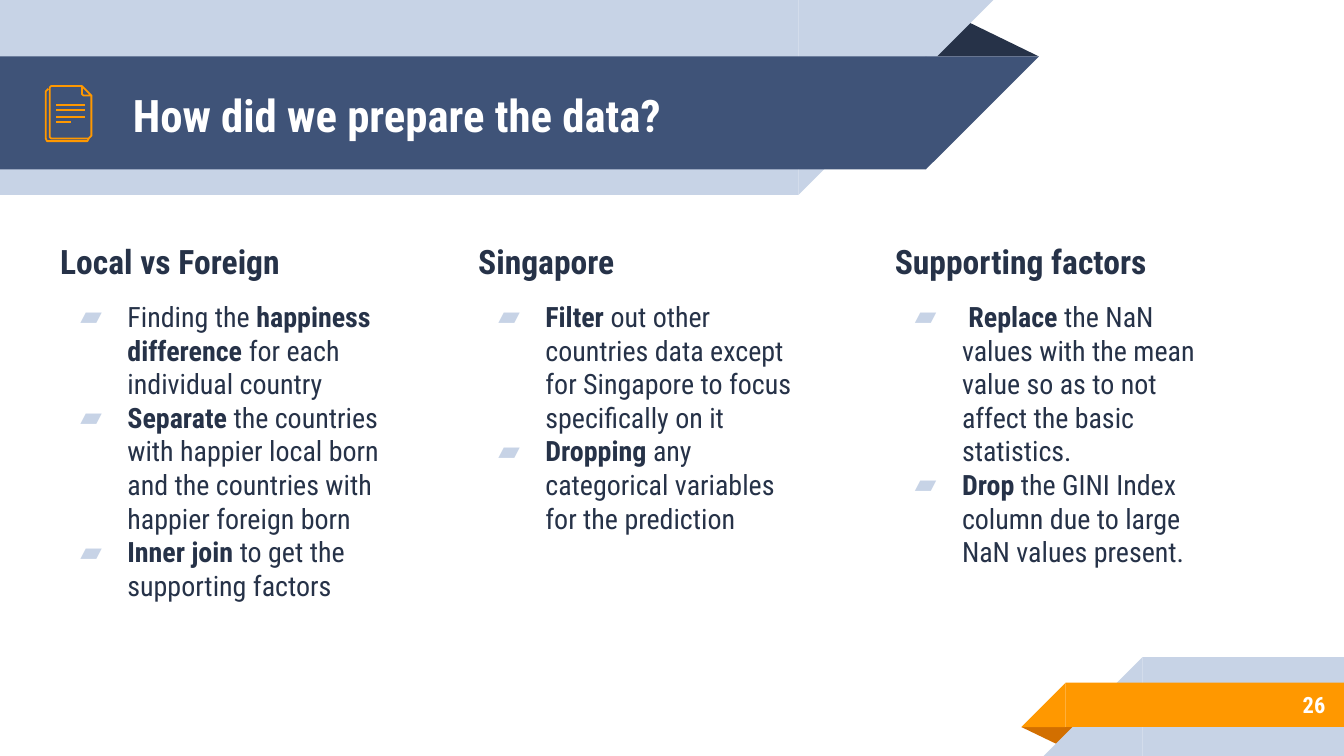
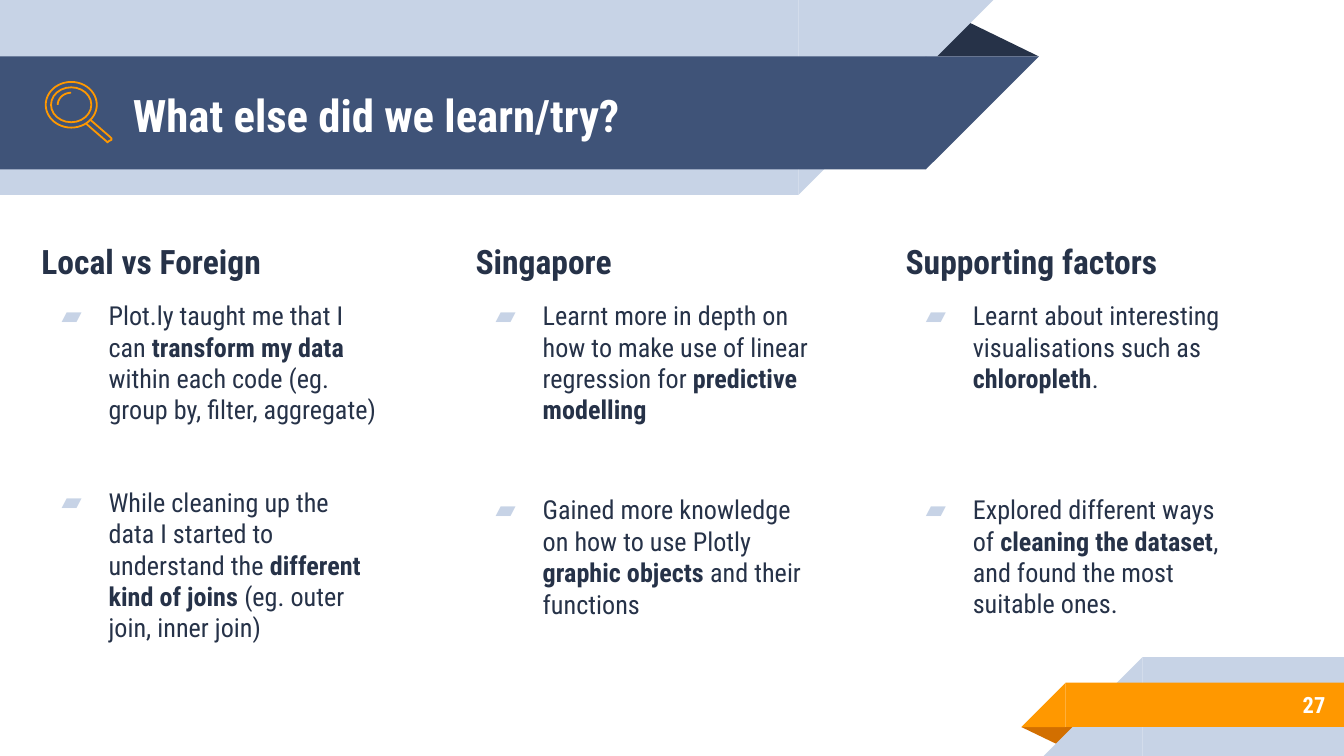
import math
from dataclasses import dataclass

from lxml import etree
from pptx import Presentation
from pptx import util as u
from pptx.dml.color import RGBColor
from pptx.enum import shapes, text
from pptx.oxml import ns

NAVY = RGBColor(0x26, 0x32, 0x48)
BLUE = RGBColor(0x3F, 0x53, 0x78)
PALE = RGBColor(0xC7, 0xD3, 0xE6)
ORANGE = RGBColor(0xFF, 0x98, 0x00)
RUST = RGBColor(0xD2, 0x6F, 0x00)
WHITE = RGBColor(0xFF, 0xFF, 0xFF)
FONT = "Roboto Condensed"
ICON_LINE = u.Pt(0.96)
SLIDE_WIDTH = 10
SLIDE_HEIGHT = SLIDE_WIDTH * 9 / 16
PRESET = shapes.MSO_SHAPE


@dataclass
class Column:
    """Heading and bullets; each bullet is (space before, text), with *bold* words."""
    left: float
    heading: str
    bullets: list
    height: float = 2.96


def add_filled(slide, preset, box, color, rotation=0, flip=False):
    shape = slide.shapes.add_shape(preset, *map(u.Inches, box))
    shape.shadow.inherit = False
    shape.fill.solid()
    shape.fill.fore_color.rgb = color
    shape.line.fill.background()
    shape.rotation = rotation
    if flip:
        shape._element.spPr.xfrm.set("flipH", "1")
    return shape


def add_fold(slide, box, color, rotation=0):
    """Dark triangle that looks like the folded back of a ribbon."""
    fold = add_filled(slide, PRESET.ISOSCELES_TRIANGLE, box, color, rotation)
    fold.adjustments[0] = 0.324


def add_header_band(slide, top, width, height, color):
    """Band from the left edge, ending in a 45 degree slant."""
    add_filled(slide, PRESET.RECTANGLE, (0, top, width, height), color, 180, True)
    add_filled(slide, PRESET.RIGHT_TRIANGLE, (width, top, height, height), color, 180, True)


def add_footer_band(slide, left, top, height, color):
    """Band to the right edge, starting with a 45 degree slant."""
    add_filled(slide, PRESET.RECTANGLE, (left, top, SLIDE_WIDTH - left, height), color, flip=True)
    add_filled(slide, PRESET.RIGHT_TRIANGLE, (left - height, top, height, height), color, flip=True)


def add_text_box(slide, box, anchor):
    frame = slide.shapes.add_textbox(*map(u.Inches, box)).text_frame
    frame.word_wrap = True
    frame.vertical_anchor = anchor
    frame.margin_left = frame.margin_right = u.Inches(0.1)
    frame.margin_top = frame.margin_bottom = u.Inches(0.1)
    return frame


def add_run(paragraph, words, size, color, bold=True):
    run = paragraph.add_run()
    run.text = words
    run.font.name = FONT
    run.font.size = u.Pt(size)
    run.font.bold = bold
    run.font.color.rgb = color


def set_bullet(paragraph):
    properties = paragraph._p.get_or_add_pPr()
    properties.set("marL", str(u.Inches(0.5)))
    properties.set("indent", str(u.Inches(-0.35)))
    bullet_color = etree.SubElement(properties, ns.qn("a:buClr"))
    etree.SubElement(bullet_color, ns.qn("a:srgbClr")).set("val", str(PALE))
    etree.SubElement(properties, ns.qn("a:buFont")).set("typeface", FONT)
    etree.SubElement(properties, ns.qn("a:buChar")).set("char", "▰")


def add_column(slide, column, width, size):
    box = (column.left, 1.69, width, column.height)
    frame = add_text_box(slide, box, text.MSO_ANCHOR.TOP)
    heading = frame.paragraphs[0]
    heading.space_before = u.Pt(6)
    add_run(heading, column.heading, 18, NAVY)
    for space, words in column.bullets:
        paragraph = frame.add_paragraph()
        paragraph.space_before = u.Pt(space)
        set_bullet(paragraph)
        for index, part in enumerate(words.split("*")):
            if part:
                add_run(paragraph, part, size, NAVY, index % 2 == 1)


def add_header(slide, title):
    add_fold(slide, (6.88, 0.14, 0.85, 0.28), NAVY)
    add_header_band(slide, 0, 5.94, 1.45, PALE)
    add_header_band(slide, 0.42, 6.89, 0.84, BLUE)
    frame = add_text_box(slide, (0.89, 0.43, 5.75, 0.84), text.MSO_ANCHOR.MIDDLE)
    add_run(frame.paragraphs[0], title, 24, WHITE)


def add_footer(slide, number):
    add_fold(slide, (7.6, 5.41, 0.43, 0.14), RUST, 180)
    add_footer_band(slide, 8.5, 4.89, SLIDE_HEIGHT - 4.89, PALE)
    add_footer_band(slide, 7.93, 5.08, 0.33, ORANGE)
    frame = add_text_box(slide, (8.33, 5.07, 1.63, 0.35), text.MSO_ANCHOR.MIDDLE)
    frame.paragraphs[0].alignment = text.PP_ALIGN.RIGHT
    add_run(frame.paragraphs[0], str(number), 12, WHITE)


def style_outline(shape):
    shape.shadow.inherit = False
    shape.fill.background()
    shape.line.color.rgb = ORANGE
    shape.line.width = ICON_LINE


def add_outline(slide, left, top, points, close=False):
    """Orange open or closed line through points given from (left, top)."""
    corners = [(u.Inches(left + x), u.Inches(top + y)) for x, y in points]
    builder = slide.shapes.build_freeform(*corners[0], scale=1.0)
    builder.add_line_segments(corners[1:], close=close)
    style_outline(builder.convert_to_shape())


def add_document_icon(slide, left, top):
    back_page = [(0.32, 0.39), (0.31, 0.41), (0.3, 0.41), (0.02, 0.41), (0.01, 0.41),
                 (0, 0.39), (0, 0.04), (0.01, 0.03), (0.02, 0.02)]
    front_page = [(0.34, 0.07), (0.34, 0.37), (0.33, 0.38), (0.32, 0.39), (0.04, 0.39),
                  (0.03, 0.38), (0.03, 0.02), (0.03, 0.01), (0.04, 0), (0.27, 0)]
    corner = [(0.27, 0.06), (0.27, 0), (0.34, 0.07), (0.29, 0.07), (0.28, 0.07)]
    add_outline(slide, left, top, back_page)
    add_outline(slide, left, top, front_page)
    add_outline(slide, left, top, corner, close=True)
    for row, length in enumerate((0.21, 0.21, 0.21, 0.11)):
        y = top + 0.14 + 0.04 * row + 0.01 * (row // 2)
        line = slide.shapes.add_connector(
            shapes.MSO_CONNECTOR.STRAIGHT, u.Inches(left + 0.08), u.Inches(y),
            u.Inches(left + 0.08 + length), u.Inches(y))
        line.line.color.rgb = ORANGE
        line.line.width = ICON_LINE
        etree.SubElement(line._element.spPr, ns.qn("a:effectLst"))


def add_lens_icon(slide, left, top):
    for inset in (0, 0.04):
        box = (left + inset, top + inset, 0.38 - 2 * inset, 0.34 - 2 * inset)
        style_outline(slide.shapes.add_shape(PRESET.OVAL, *map(u.Inches, box)))
    angles = [math.radians(step * 10) for step in range(10)]
    glint = [(0.19 - 0.1 * math.cos(a), 0.17 - 0.09 * math.sin(a)) for a in angles]
    handle = [(0.3, 0.31), (0.45, 0.44), (0.46, 0.45), (0.47, 0.44), (0.49, 0.43),
              (0.49, 0.42), (0.48, 0.41), (0.33, 0.28)]
    add_outline(slide, left, top, glint)
    add_outline(slide, left, top, handle)


def add_columns_slide(presentation, number, title, columns, width, size):
    slide = presentation.slides.add_slide(presentation.slide_layouts[6])
    add_header(slide, title)
    add_footer(slide, number)
    for column in columns:
        add_column(slide, column, width, size)
    return slide


PREPARATION = [
    Column(0.35, "Local vs Foreign", [
        (10, "Finding the *happiness difference *for each individual country"),
        (0, "*Separate* the countries with happier local born and the countries "
            "with happier foreign born"),
        (0, "*Inner join* to get the supporting factors")]),
    Column(3.46, "Singapore", [
        (10, "*Filter *out other countries data except for Singapore to focus "
             "specifically on it"),
        (0, "*Dropping *any categorical variables for the prediction")]),
    Column(6.56, "Supporting factors", [
        (10, " *Replace* the NaN values with the mean value so as to not affect "
             "the basic statistics."),
        (0, "*Drop* the GINI Index column due to large NaN values present.")]),
]

LESSONS = [
    Column(0.21, "Local vs Foreign", [
        (10, "Plot.ly taught me that I can *transform my data* within each code "
             "(eg. group by, filter, aggregate)"),
        (32.8, "While cleaning up the data I started to understand the "
               "*different kind of joins *(eg. outer join, inner join)")]),
    Column(3.44, "Singapore", [
        (10, "Learnt more in depth on how to make use of linear regression for"
             "* predictive modelling*"),
        (36.8, "Gained more knowledge on how to use Plotly *graphic objects* "
               "and their functions")], 3.28),
    Column(6.64, "Supporting factors", [
        (10, "Learnt about interesting visualisations such as *chloropleth*."),
        (53.6, "Explored different ways of *cleaning the dataset*, and found "
               "the most suitable ones.")]),
]


def main():
    presentation = Presentation()
    presentation.slide_width = u.Inches(SLIDE_WIDTH)
    presentation.slide_height = u.Inches(SLIDE_HEIGHT)
    slide = add_columns_slide(presentation, 26, "How did we prepare the data?",
                              PREPARATION, 2.64, 15)
    add_document_icon(slide, 0.34, 0.64)
    slide = add_columns_slide(presentation, 27, "What else did we learn/try?",
                              LESSONS, 2.7, 14)
    add_lens_icon(slide, 0.34, 0.61)
    presentation.save("out.pptx")


if __name__ == "__main__":
    main()
